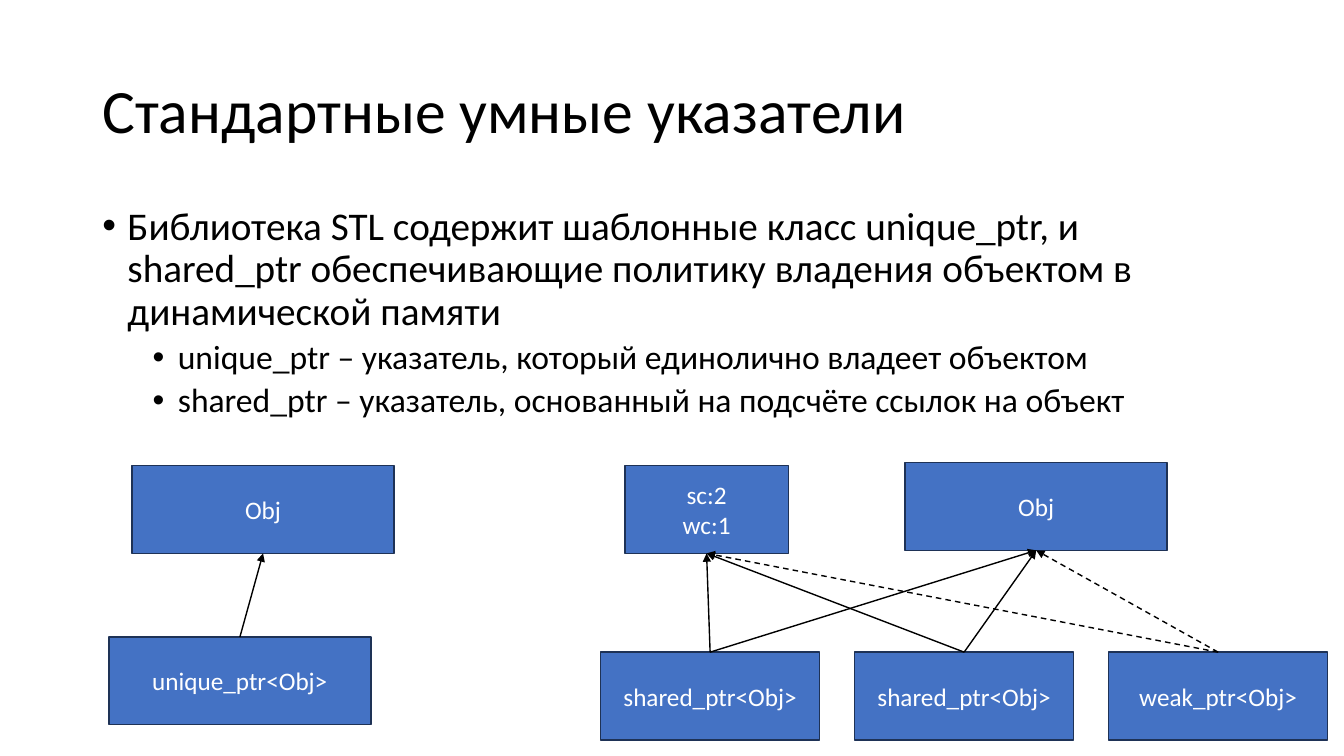
import pptx
import pptx.util
import pptx.dml.color
import pptx.enum.dml
import pptx.enum.shapes
import pptx.enum.text
import pptx.oxml
import pptx.oxml.ns

Pt = pptx.util.Pt
TOP, BOTTOM = 0, 2
BOX_HEIGHT = 62.64
BULLETS = [
    (0, "Библиотека STL содержит шаблонные класс unique_ptr, и shared_ptr "
        "обеспечивающие политику владения объектом в динамической памяти"),
    (1, "unique_ptr – указатель, который единолично владеет объектом"),
    (1, "shared_ptr – указатель, основанный на подсчёте ссылок на объект"),
]
LEVELS = [
    {"size": 28, "before": 10, "margin": 18},
    {"size": 24, "before": 5, "margin": 54},
]


def color(value):
    """Return the colour for a hex string."""
    return pptx.dml.color.RGBColor.from_string(value)


def apply(target, values):
    """Set every attribute in a dict of format values."""
    for name, value in values.items():
        setattr(target, name, value)


def write(paragraph, text, size, hue, **layout):
    """Put one formatted run into a paragraph."""
    apply(paragraph, layout)
    run = paragraph.add_run()
    run.text = text
    apply(run.font, {"name": "Calibri", "size": Pt(size)})
    run.font.color.rgb = color(hue)


def add_frame(slide, left, top, width, height, anchor):
    """Add a wrapping text box and return its text frame."""
    frame = slide.shapes.add_textbox(Pt(left), Pt(top), Pt(width), Pt(height)).text_frame
    apply(frame, {"word_wrap": True, "vertical_anchor": anchor})
    return frame


def add_title(slide, text):
    """Add the slide heading."""
    heading = add_frame(slide, 66, 28.8, 828, 104.4, pptx.enum.text.MSO_ANCHOR.MIDDLE)
    write(heading.paragraphs[0], text, 44, "000000", line_spacing=0.9)


def add_bullets(slide, items):
    """Add the two-level bulleted list."""
    body = add_frame(slide, 66, 144, 828, 342.72, pptx.enum.text.MSO_ANCHOR.TOP)
    for index, (level, text) in enumerate(items):
        paragraph = body.add_paragraph() if index else body.paragraphs[0]
        style = LEVELS[level]
        write(paragraph, text, style["size"], "000000", level=level,
              line_spacing=0.9, space_before=Pt(style["before"]))
        properties = paragraph._p.get_or_add_pPr()
        properties.set("marL", str(Pt(style["margin"])))
        properties.set("indent", str(Pt(-18)))
        namespace = pptx.oxml.ns.nsdecls("a")
        for mark in ('buFont {} typeface="Arial"', 'buChar {} char="•"'):
            properties.append(pptx.oxml.parse_xml(f"<a:{mark.format(namespace)}/>"))


def add_box(slide, left, top, width, *lines):
    """Add a blue rectangle with centred lines of text."""
    box = slide.shapes.add_shape(pptx.enum.shapes.MSO_SHAPE.RECTANGLE,
                                 Pt(left), Pt(top), Pt(width), Pt(BOX_HEIGHT))
    box.shadow.inherit = False
    box.fill.solid()
    box.fill.fore_color.rgb = color("4472C4")
    box.line.color.rgb = color("1E3256")
    box.line.width = Pt(1)
    frame = box.text_frame
    apply(frame, {"word_wrap": True, "vertical_anchor": pptx.enum.text.MSO_ANCHOR.MIDDLE})
    for index, text in enumerate(lines):
        paragraph = frame.add_paragraph() if index else frame.paragraphs[0]
        write(paragraph, text, 18, "FFFFFF", alignment=pptx.enum.text.PP_ALIGN.CENTER)
    return box


def add_arrow(slide, pointer, target, dashed=False):
    """Join the top of a pointer box to the bottom of its target."""
    arrow = slide.shapes.add_connector(pptx.enum.shapes.MSO_CONNECTOR.STRAIGHT, 0, 0, 0, 0)
    arrow.begin_connect(pointer, TOP)
    arrow.end_connect(target, BOTTOM)
    arrow.line.color.rgb = color("000000")
    arrow.line.width = Pt(1)
    if dashed:
        arrow.line.dash_style = pptx.enum.dml.MSO_LINE.DASH
    namespace = pptx.oxml.ns.nsdecls("a")
    arrow.line._get_or_add_ln().append(
        pptx.oxml.parse_xml(f'<a:tailEnd {namespace} type="triangle"/>'))
    arrow._element.spPr.append(pptx.oxml.parse_xml(f"<a:effectLst {namespace}/>"))


def add_unique_diagram(slide):
    """Draw the single-owner pointer and its object."""
    pointer = add_box(slide, 77.76, 455.04, 187.2, "unique_ptr<Obj>")
    owned = add_box(slide, 94.32, 332.64, 187.2, "Obj")
    add_arrow(slide, pointer, owned)


def add_shared_diagram(slide):
    """Draw the counted pointers, their counter and their object."""
    counter = add_box(slide, 446.4, 332.64, 116.64, "sc:2", "wc:1")
    shared = add_box(slide, 646.56, 330.48, 187.2, "Obj")
    for index, kind in enumerate(("shared_ptr", "shared_ptr", "weak_ptr")):
        pointer = add_box(slide, 429.12 + index * 181.44, 465.84, 156.24, f"{kind}<Obj>")
        for target in (counter, shared):
            add_arrow(slide, pointer, target, dashed=kind == "weak_ptr")


def main():
    """Build and save the slide."""
    deck = pptx.Presentation()
    apply(deck, {"slide_width": Pt(960), "slide_height": Pt(540)})
    slide = deck.slides.add_slide(deck.slide_layouts[6])
    add_title(slide, "Стандартные умные указатели")
    add_bullets(slide, BULLETS)
    add_unique_diagram(slide)
    add_shared_diagram(slide)
    deck.save("out.pptx")


if __name__ == "__main__":
    main()
